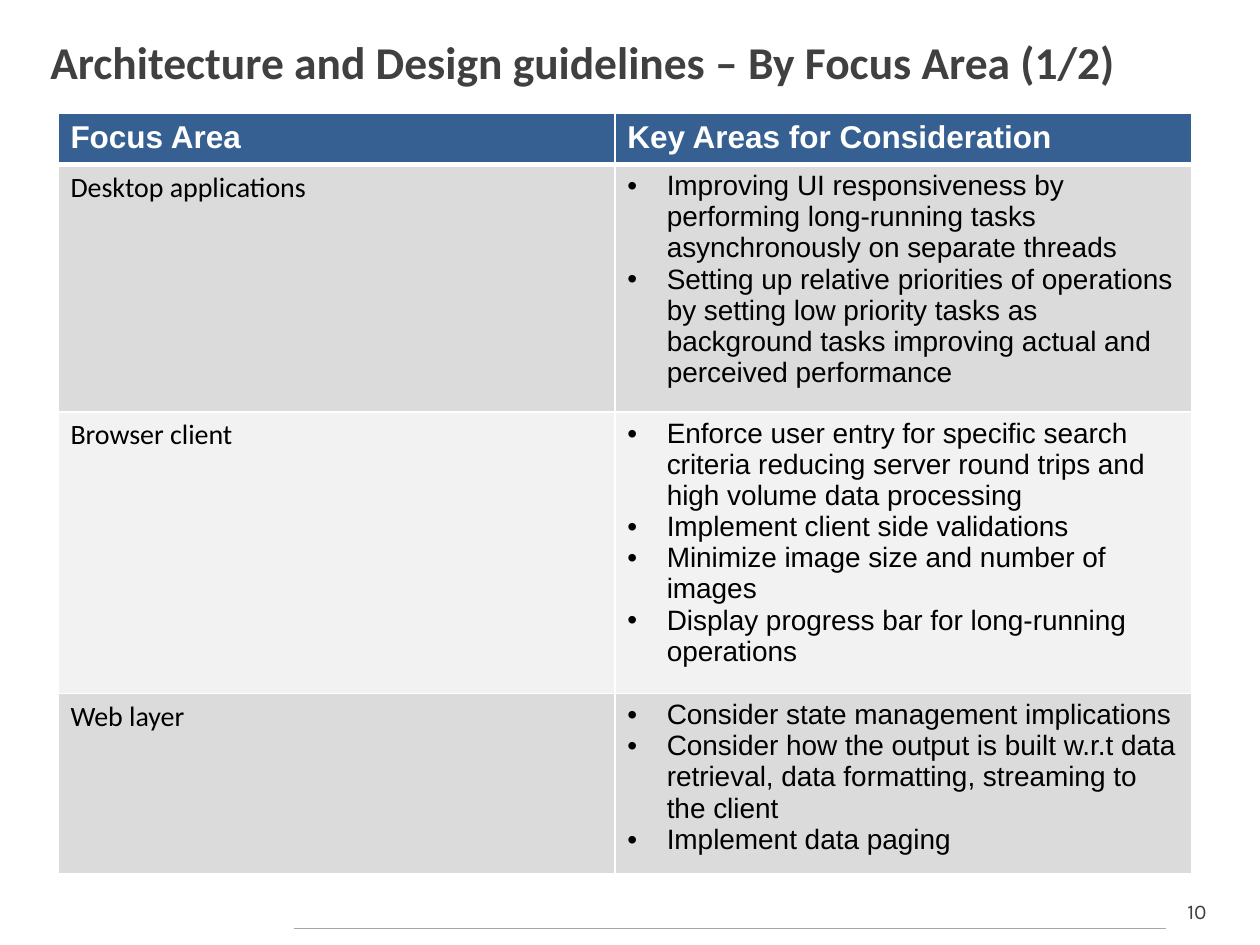
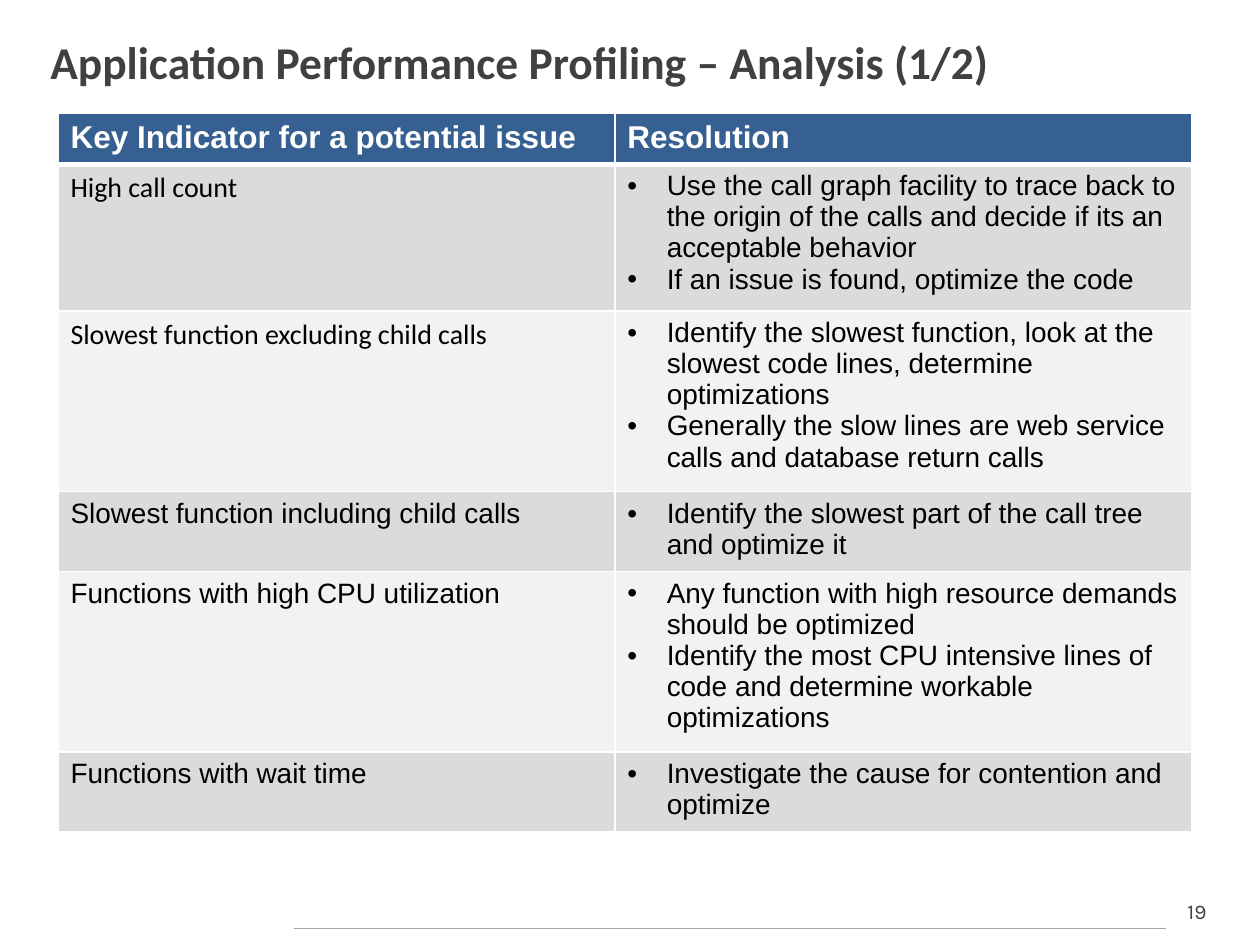
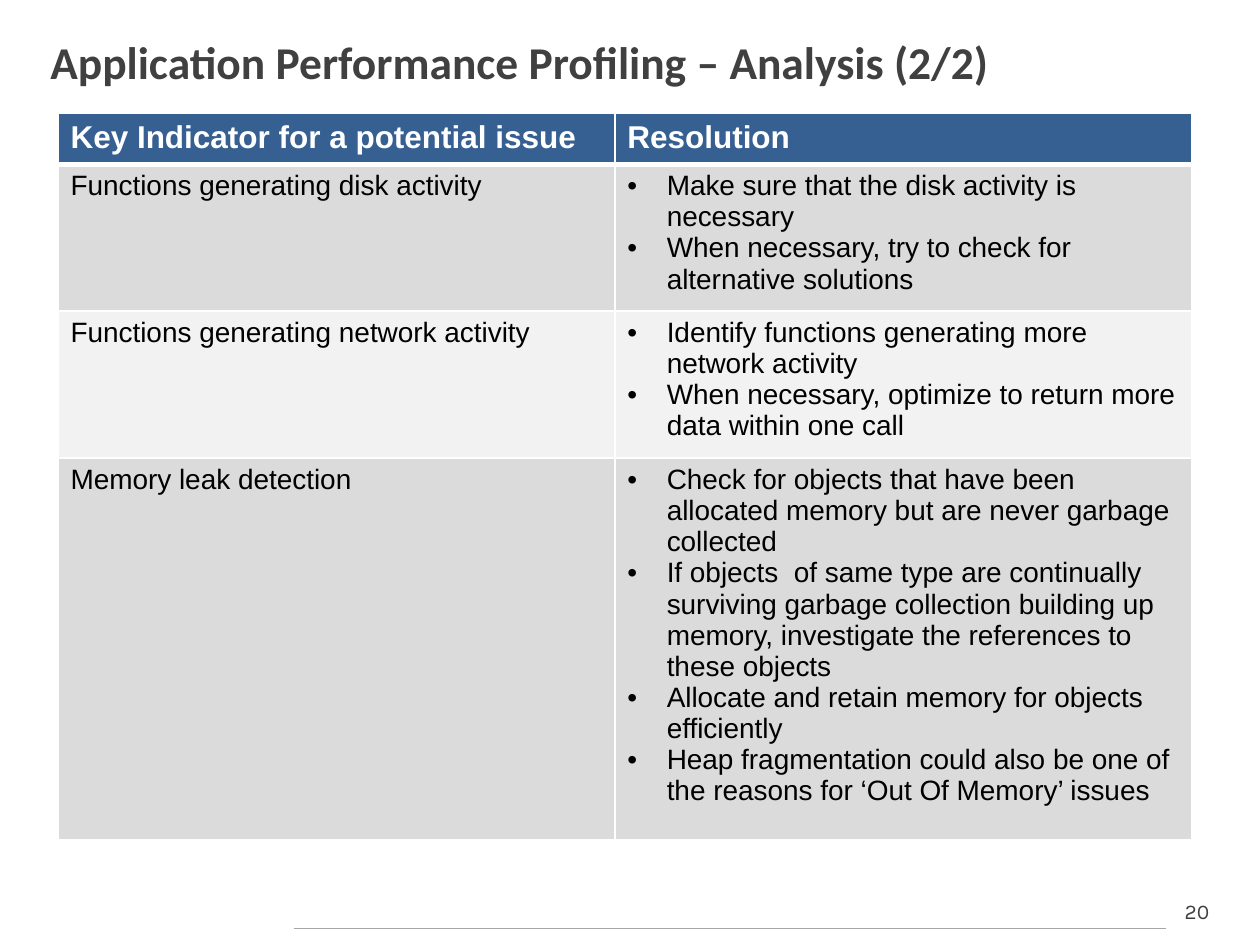
"""Build three slides of performance guidelines, each with a two-column table."""
from lxml.etree import SubElement
from pptx import Presentation
from pptx.dml.color import RGBColor
from pptx.enum.shapes import MSO_CONNECTOR as Link
from pptx.enum.text import MSO_ANCHOR as Anchor, PP_ALIGN as Align
from pptx.oxml.ns import qn
from pptx.util import Pt

WHITE, BLACK, DARK, RULE = "FFFFFF", "000000", "404040", "A6A6A6"
HEAD, BANDS = "376092", ("F2F2F2", "DBDBDB")
ISSUE = ("Key Indicator for a potential issue", "Resolution")

# Each entry: title, page, table height, count of Calibri labels, heads, rows
SLIDES = [
    ("Architecture and Design guidelines – By Focus Area (1/2)", 10, 396, 3,
     ("Focus Area", "Key Areas for Consideration"), [
         ("Desktop applications", [
             "Improving UI responsiveness by performing long-running tasks asynchronously on separate threads",
             "Setting up relative priorities of operations by setting low priority tasks as background tasks "
             "improving actual and perceived performance"]),
         ("Browser client", [
             "Enforce user entry for specific search criteria reducing server round trips and high volume "
             "data processing",
             "Implement client side validations",
             "Minimize image size and number of images",
             "Display progress bar for long-running operations"]),
         ("Web layer", [
             "Consider state management implications",
             "Consider how the output is built w.r.t data retrieval, data formatting, streaming to the client",
             "Implement data paging"])]),
    ("Application Performance Profiling – Analysis (1/2)", 19, 372, 2, ISSUE, [
        ("High call count", [
            "Use the call graph facility to trace back to the origin of the calls and decide if its an "
            "acceptable behavior",
            "If an issue is found, optimize the code"]),
        ("Slowest function excluding child calls", [
            "Identify the slowest function, look at the slowest code lines, determine optimizations",
            "Generally the slow lines are web service calls and database return calls"]),
        ("Slowest function including child calls", [
            "Identify the slowest part of the call tree and optimize it"]),
        ("Functions with high CPU utilization", [
            "Any function with high resource demands should be optimized",
            "Identify the most CPU intensive lines of code and determine workable optimizations"]),
        ("Functions with wait time", [
            "Investigate the cause for contention and optimize"])]),
    ("Application Performance Profiling – Analysis (2/2)", 20, 376.5, 0, ISSUE, [
        ("Functions generating disk activity", [
            "Make sure that the disk activity is necessary",
            "When necessary, try to check for alternative solutions"]),
        ("Functions generating network activity", [
            "Identify functions generating more network activity",
            "When necessary, optimize to return more data within one call"]),
        ("Memory leak detection", [
            "Check for objects that have been allocated memory but are never garbage collected",
            "If objects  of same type are continually surviving garbage collection building up memory, "
            "investigate the references to these objects",
            "Allocate and retain memory for objects efficiently",
            "Heap fragmentation could also be one of the reasons for ‘Out Of Memory’ issues"])]),
]


def paint(target, color):
    """Give a font, fill or line a solid colour."""
    if hasattr(target, "solid"):
        target.solid()
        target.fore_color.rgb = RGBColor.from_string(color)
    else:
        getattr(target, "color").rgb = RGBColor.from_string(color)


def style(para, face, size, color, bold=False):
    """Set the font of a paragraph."""
    font = para.font
    font.name, font.size, font.bold = face, Pt(size), bold
    paint(font, color)


deck = Presentation()
deck.slide_width, deck.slide_height = Pt(720), Pt(540)

for name, page, high, soft, heads, rows in SLIDES:
    slide = deck.slides.add_slide(deck.slide_layouts[5])

    box = slide.shapes.add_textbox(Pt(666), Pt(510), Pt(36), Pt(21.8))
    box.text_frame.word_wrap = True
    para = box.text_frame.paragraphs[0]
    para.text, para.alignment = str(page), Align.CENTER
    style(para, "Karla", 12, DARK)

    rule = slide.shapes.add_connector(Link.STRAIGHT, Pt(168), Pt(530.6), Pt(666), Pt(530.6))
    paint(rule.line, RULE) if not hasattr(rule.line, "color") else paint(rule.line.fill, RULE)
    rule.line.width = Pt(0.75)
    SubElement(rule._element.spPr, qn("a:effectLst"))

    title = slide.shapes.title
    title.left, title.top, title.width, title.height = Pt(21.6), Pt(12.5), Pt(674), Pt(45)
    title.text_frame.text = name
    title.text_frame.vertical_anchor = Anchor.MIDDLE
    para = title.text_frame.paragraphs[0]
    para.alignment = Align.LEFT
    style(para, "Calibri", 26, DARK, True)

    frame = slide.shapes.add_table(len(rows) + 1, 2, Pt(33.1), Pt(65), Pt(648), Pt(high))
    table = frame.table
    table.horz_banding = False
    table.columns[0].width, table.columns[1].width = Pt(318.2), Pt(329.8)
    for row in table.rows:
        row.height = Pt(28.8)
    frame.height = Pt(high)

    for r, (label, points) in enumerate([(heads[0], [heads[1]])] + rows):
        for c, lines in enumerate(([label], points)):
            cell = table.cell(r, c)
            props = cell._tc.get_or_add_tcPr()
            for side in "LRTB":
                thick = (r, side) in ((0, "B"), (1, "T"))
                edge = SubElement(props, qn("a:ln" + side), w=str(Pt(3 if thick else 1)))
                SubElement(SubElement(edge, qn("a:solidFill")), qn("a:srgbClr"), val=WHITE)
            paint(cell.fill, BANDS[r % 2] if r else HEAD)

            cell.text_frame.text = "\n".join(lines)
            for para in cell.text_frame.paragraphs:
                if r and c:
                    form = para._p.get_or_add_pPr()
                    form.set("marL", str(Pt(22.5)))
                    form.set("indent", str(-Pt(22.5)))
                    SubElement(form, qn("a:buFont"), typeface="Arial")
                    SubElement(form, qn("a:buChar"), char="•")
                if r:
                    style(para, "Calibri" if c == 0 and r <= soft else "Arial", 16, BLACK)
                else:
                    style(para, "Arial", 18, WHITE, True)

deck.save("out.pptx")
